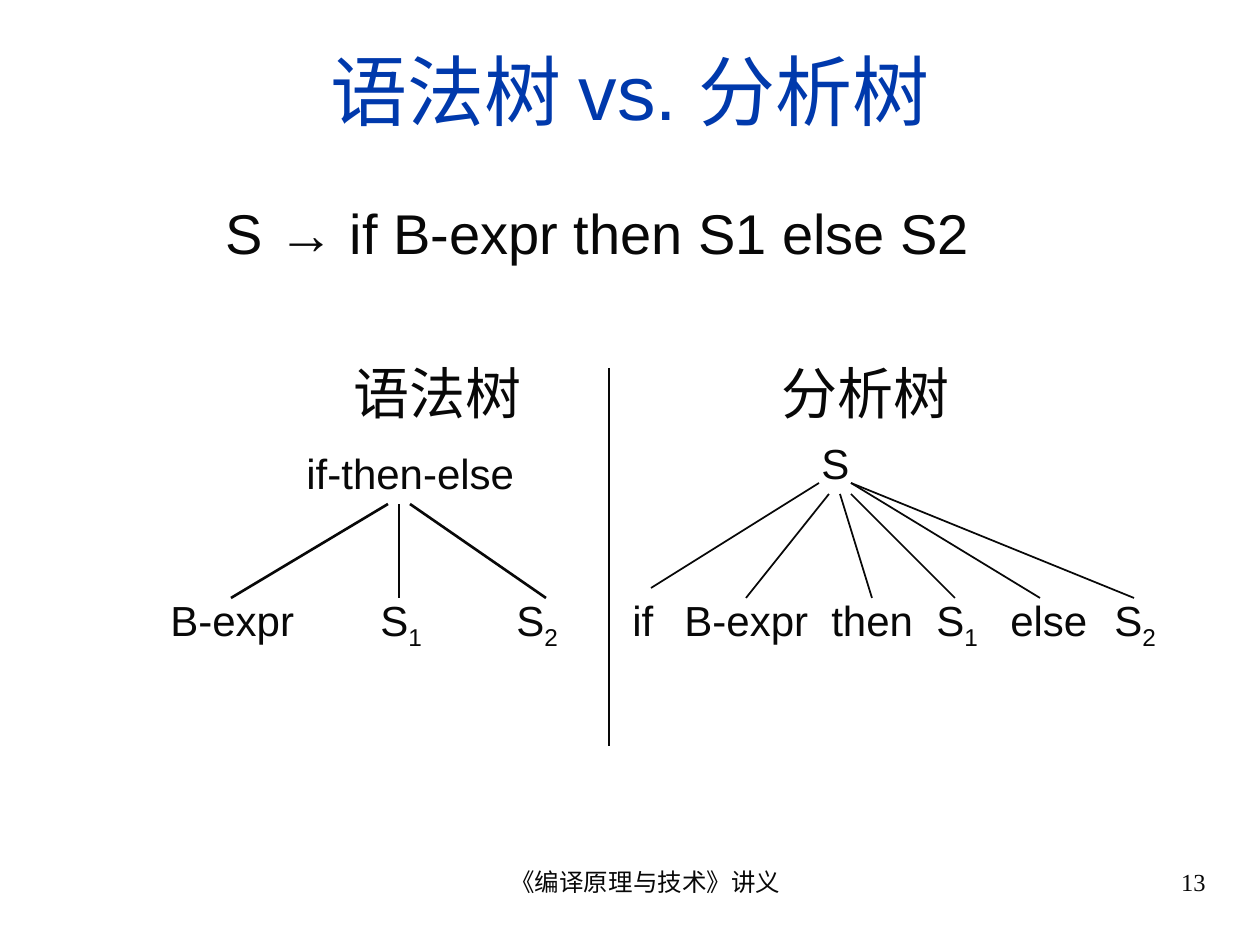
"""Build a slide comparing a syntax tree with a parse tree."""
from lxml import etree
from pptx import Presentation, util as u
from pptx.dml.color import RGBColor
from pptx.enum import shapes, text
from pptx.oxml import ns

COLORS = {"title": "0039AC", "ink": "080808"}
PX = 914400 / 126
ALIGN = text.PP_ALIGN


def fill_text(sp, words, size, font="Arial", color="ink", align=ALIGN.LEFT,
              anchor=text.MSO_ANCHOR.TOP, sub=""):
    tf = sp.text_frame
    frame = {"word_wrap": True, "vertical_anchor": anchor,
             "margin_left": u.Inches(0.1), "margin_right": u.Inches(0.1),
             "margin_top": u.Inches(0.05), "margin_bottom": u.Inches(0.05)}
    for name, value in frame.items():
        setattr(tf, name, value)
    p = tf.paragraphs[0]
    p.alignment = align
    for part in filter(None, (words, sub)):
        r = p.add_run()
        r.text = part
        for name, value in {"size": u.Pt(size), "name": font, "bold": False}.items():
            setattr(r.font, name, value)
        r.font.color.rgb = RGBColor.from_string(COLORS[color])
    if sub:
        r.font._element.set("baseline", "-25000")


def emu(*lengths):
    return [u.Emu(round(v * PX)) for v in lengths]


prs = Presentation()
prs.slide_width, prs.slide_height = emu(1260, 945)
s = prs.slides.add_slide(prs.slide_layouts[5])

title = s.shapes.title
title.left, title.top, title.width, title.height = emu(42, 32, 1176, 116)
fill_text(title, "语法树 vs. 分析树", 44, color="title", align=ALIGN.CENTER,
          anchor=text.MSO_ANCHOR.MIDDLE)

headings = [
    ("S → if B-expr then S1 else S2", 213, 195, 900),
    ("语法树", 341, 355, 230),
    ("分析树", 769, 355, 230),
]
for words, x, y, w in headings:
    sp = s.shapes.add_textbox(*emu(x, y, w, 74))
    fill_text(sp, words, 32, anchor=text.MSO_ANCHOR.MIDDLE)

LEAF_Y = 588
nodes = [
    ("if-then-else", "", 294, 441, 346),
    ("B-expr", "", 158, LEAF_Y, 178),
    ("S", "1", 368, LEAF_Y, 116),
    ("S", "2", 504, LEAF_Y, 105),
    ("S", "", 809, 431, 116),
    ("if", "", 620, LEAF_Y, 53),
    ("B-expr", "", 672, LEAF_Y, 168),
    ("then", "", 819, LEAF_Y, 116),
    ("S", "1", 924, LEAF_Y, 116),
    ("else", "", 998, LEAF_Y, 116),
    ("S", "2", 1102, LEAF_Y, 116),
]
for words, sub, x, y, w in nodes:
    sp = s.shapes.add_textbox(*emu(x, y, w, 63))
    fill_text(sp, words, 24, sub=sub)

line_groups = {
    0.75: [(609, 368, 609, 746)],
    1.5: [(388, 504, 231, 598), (399, 504, 399, 598), (410, 504, 546, 598)],
    1: [(819, 483, 651, 588), (829, 494, 746, 598), (840, 494, 872, 598),
        (851, 494, 955, 598), (851, 483, 1040, 598), (851, 483, 1134, 598)],
}
for width, lines in line_groups.items():
    for ends in lines:
        line = s.shapes.add_connector(shapes.MSO_CONNECTOR.STRAIGHT, *emu(*ends))
        line.line.width = u.Pt(width)
        line.line.color.rgb = RGBColor.from_string(COLORS["ink"])
        etree.SubElement(line._element.spPr, ns.qn("a:effectLst"))

footers = [
    ("《编译原理与技术》讲义", 446, 399, ALIGN.CENTER),
    ("13", 903, 315, ALIGN.RIGHT),
]
for words, x, w, align in footers:
    sp = s.shapes.add_textbox(*emu(x, 861, w, 66))
    fill_text(sp, words, 14, font="Times New Roman", align=align)

prs.save("out.pptx")
